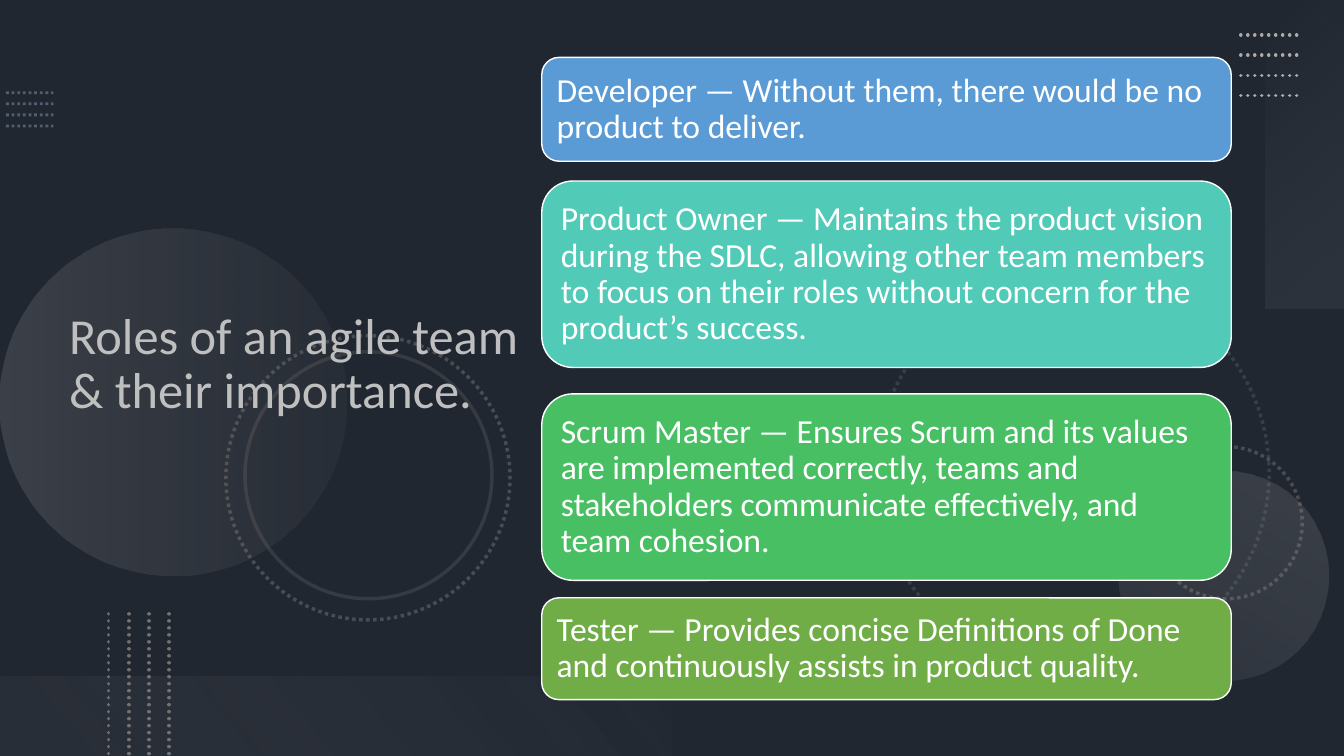
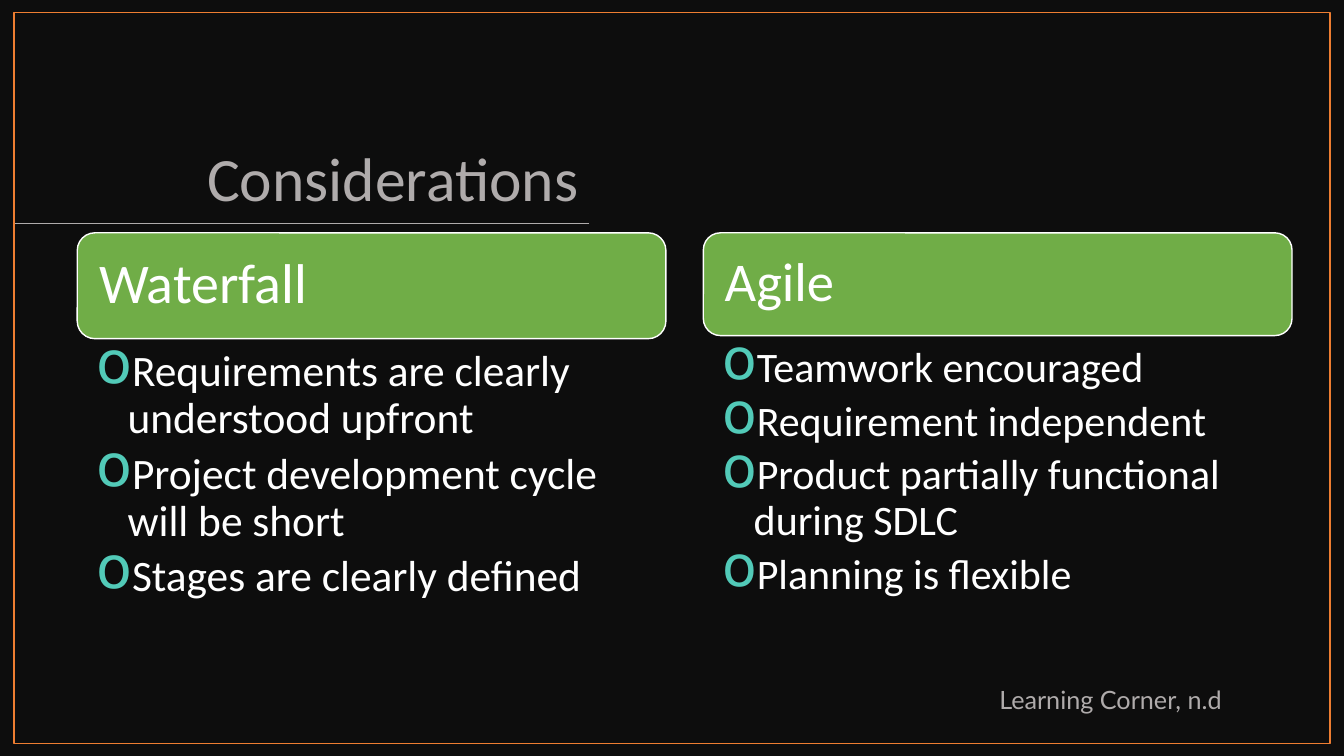
from dataclasses import dataclass
from typing import Optional

from lxml.etree import SubElement
from pptx import Presentation
from pptx.dml.color import RGBColor
from pptx.enum.dml import MSO_LINE
from pptx.enum.shapes import MSO_CONNECTOR, MSO_SHAPE
from pptx.enum.text import MSO_ANCHOR, PP_ALIGN
from pptx.oxml import parse_xml
from pptx.oxml.ns import nsdecls, qn
from pptx.util import Pt

COLORS = {
    "slate": "44546A", "shade": "000000", "black": "0D0D0D",
    "white": "FFFFFF", "title": "BFBFBF", "silver": "AFABAB",
    "gray": "767171", "mist": "F5F5F5", "steel": "8497B0",
    "orange": "ED7D31", "blue": "5B9BD5", "teal": "52CAB8",
    "green": "49BF64", "olive": "70AD47",
}
BODY_FONT = "Calibri"
FOOTER_FONT = "Lato"
LINE_SPACING = 0.9
SLIDE_WIDTH, SLIDE_HEIGHT = 960, 540


@dataclass(frozen=True)
class Box:
    left: float
    top: float
    width: float
    height: float

    def lengths(self):
        return Pt(self.left), Pt(self.top), Pt(self.width), Pt(self.height)


@dataclass(frozen=True)
class Stop:
    position: int
    color: str
    opacity: int


@dataclass(frozen=True)
class Glow:
    shape: MSO_SHAPE
    box: Box
    rotation: int
    angle: int
    stops: tuple[Stop, Stop]


@dataclass(frozen=True)
class Ring:
    box: Box
    opacity: int
    dotted: bool = True


@dataclass(frozen=True)
class DotLines:
    """Four parallel dotted lines, each moved on by the same step."""
    start: tuple[float, float]
    end: tuple[float, float]
    step: tuple[float, float]
    color: str
    width: float = 2.5
    opacity: int = 100
    round_dots: bool = True


@dataclass(frozen=True)
class Role:
    text: str
    top: float
    height: float
    color: str


@dataclass(frozen=True)
class Method:
    name: str
    left: float
    header_height: float
    name_size: int
    point_size: int
    inset: float
    points: tuple[str, ...]


FULL_SLIDE = Box(0, 0, SLIDE_WIDTH, SLIDE_HEIGHT)
GLOWS = (
    Glow(MSO_SHAPE.OVAL, Box(0, 163.4, 247.7, 247.7), 270, 90,
         (Stop(0, "silver", 20), Stop(100, "gray", 10))),
    Glow(MSO_SHAPE.OVAL, Box(799.2, 336.2, 149.8, 149.8), 210, 90,
         (Stop(0, "silver", 10), Stop(100, "silver", 20))),
    Glow(MSO_SHAPE.RECTANGLE, Box(822.2, 82.1, 220.3, 56.2), 270, 140,
         (Stop(0, "mist", 0), Stop(100, "silver", 10))),
    Glow(MSO_SHAPE.RECTANGLE, Box(0, 483.3, 480, 56.2), 180, 140,
         (Stop(10, "gray", 10), Stop(100, "mist", 0))),
)
RINGS = (
    Ring(Box(625.7, 197.3, 280.8, 280.8), 30),
    Ring(Box(821.5, 319, 108.7, 108.7), 50),
    Ring(Box(161.3, 239.8, 203, 203), 50),
    Ring(Box(175, 251.3, 176.4, 176.4), 25, dotted=False),
)
DOT_LINES = (
    DotLines((4.3, 66.2), (38.2, 66.2), (0, 7.92), "steel", 2, 50, False),
    DotLines((886.3, 25), (929.5, 25), (0, 14.4), "silver"),
    DotLines((77.6, 438.5), (77.6, 540), (14.4, 0), "gray"),
)
ROLES = (
    Role("Developer — Without them, there would be no product to deliver.",
         41, 74.2, "blue"),
    Role("Product Owner — Maintains the product vision during the SDLC, "
         "allowing other team members to focus on their roles without concern "
         "for the product’s success.", 129.3, 133.2, "teal"),
    Role("Scrum Master — Ensures Scrum and its values are implemented "
         "correctly, teams and stakeholders communicate effectively, and team "
         "cohesion.", 281.3, 133.2, "green"),
    Role("Tester — Provides concise Definitions of Done and continuously "
         "assists in product quality.", 427, 72.7, "olive"),
)
METHODS = (
    Method("Waterfall", 55.2, 75.6, 40, 31, 12,
           ("Requirements are clearly understood upfront",
            "Project development cycle will be short",
            "Stages are clearly defined")),
    Method("Agile", 502.4, 73.4, 39, 30, 11.7,
           ("Teamwork encouraged", "Requirement independent",
            "Product partially functional during SDLC",
            "Planning is flexible")),
)


def rgb(color: str) -> RGBColor:
    return RGBColor.from_string(COLORS[color])


def set_opacity(fill_properties, opacity: int) -> None:
    tint = fill_properties.find(qn("a:solidFill")).find(qn("a:srgbClr"))
    SubElement(tint, qn("a:alpha"), val=str(opacity * 1000))


def style_line(line, color: str, width: float, opacity: int = 100,
               dotted: bool = False) -> None:
    line.color.rgb = rgb(color)
    line.width = Pt(width)
    if dotted:
        line.dash_style = MSO_LINE.ROUND_DOT
    if opacity < 100:
        set_opacity(line.fill._xPr, opacity)


def add_plain_shape(slide, kind: MSO_SHAPE, box: Box,
                    fill: Optional[str] = None):
    """Add a shape without shadow or outline, filled only on request."""
    shape = slide.shapes.add_shape(kind, *box.lengths())
    shape.shadow.inherit = False
    shape.line.fill.background()
    if fill:
        shape.fill.solid()
        shape.fill.fore_color.rgb = rgb(fill)
    else:
        shape.fill.background()
    return shape


def add_glow(slide, glow: Glow) -> None:
    shape = add_plain_shape(slide, glow.shape, glow.box)
    shape.rotation = glow.rotation
    stops = "".join(
        f'<a:gs pos="{stop.position * 1000}">'
        f'<a:srgbClr val="{COLORS[stop.color]}">'
        f'<a:alpha val="{stop.opacity * 1000}"/></a:srgbClr></a:gs>'
        for stop in glow.stops)
    gradient = parse_xml(
        f'<a:gradFill {nsdecls("a")} rotWithShape="1"><a:gsLst>{stops}</a:gsLst>'
        f'<a:lin ang="{glow.angle * 60000}" scaled="0"/></a:gradFill>')
    properties = shape._element.spPr
    properties.replace(properties.find(qn("a:noFill")), gradient)


def add_ring(slide, ring: Ring) -> None:
    shape = add_plain_shape(slide, MSO_SHAPE.OVAL, ring.box)
    shape.rotation = 75
    style_line(shape.line, "gray", 2.5, ring.opacity, ring.dotted)


def add_line(slide, start: tuple[float, float], end: tuple[float, float],
             color: str, width: float):
    line = slide.shapes.add_connector(
        MSO_CONNECTOR.STRAIGHT, *(Pt(value) for value in start + end))
    style_line(line.line, color, width)
    SubElement(line._element.spPr, qn("a:effectLst"))
    return line.line


def add_dot_lines(slide, group: DotLines) -> None:
    step_x, step_y = group.step
    for index in range(4):
        start, end = ((x + index * step_x, y + index * step_y)
                      for x, y in (group.start, group.end))
        line = add_line(slide, start, end, group.color, group.width)
        style_line(line, group.color, group.width, group.opacity, dotted=True)
        if group.round_dots:
            line.fill._xPr.set("cap", "rnd")


def set_insets(frame, horizontal: float, vertical: float) -> None:
    frame.margin_left = frame.margin_right = Pt(horizontal)
    frame.margin_top = frame.margin_bottom = Pt(vertical)


def write(paragraph, text: str, size: float, color: str,
          font: str = BODY_FONT, align: PP_ALIGN = PP_ALIGN.LEFT,
          spacing: float = LINE_SPACING) -> None:
    paragraph.text = text
    paragraph.alignment = align
    paragraph.line_spacing = spacing
    for run in paragraph.runs:
        run.font.size = Pt(size)
        run.font.name = font
        run.font.color.rgb = rgb(color)


def add_text_frame(slide, box: Box, anchor: MSO_ANCHOR = MSO_ANCHOR.TOP):
    frame = slide.shapes.add_textbox(*box.lengths()).text_frame
    frame.word_wrap = True
    frame.vertical_anchor = anchor
    return frame


def add_title(slide, text: str, box: Box, size: int, color: str,
              anchor: MSO_ANCHOR, align: PP_ALIGN) -> None:
    frame = add_text_frame(slide, box, anchor)
    write(frame.paragraphs[0], text, size, color, align=align)


def add_card(slide, text: str, box: Box, fill: str, size: int,
             inset: float) -> None:
    card = add_plain_shape(slide, MSO_SHAPE.ROUNDED_RECTANGLE, box, fill)
    style_line(card.line, "white", 1)
    frame = card.text_frame
    frame.word_wrap = True
    frame.vertical_anchor = MSO_ANCHOR.MIDDLE
    set_insets(frame, inset, inset)
    write(frame.paragraphs[0], text, size, "white")


def add_bullet(paragraph) -> None:
    properties = paragraph._p.get_or_add_pPr()
    properties.set("marL", str(Pt(22.5)))
    properties.set("indent", str(-Pt(22.5)))
    bullet_color = SubElement(properties, qn("a:buClr"))
    SubElement(bullet_color, qn("a:srgbClr"), val=COLORS["teal"])
    SubElement(properties, qn("a:buSzPct"), val="135000")
    SubElement(properties, qn("a:buChar"), char="o")


def add_method(slide, method: Method) -> None:
    top, width, gap = 166.3, 420.5, 3.5
    add_card(slide, method.name,
             Box(method.left, top, width, method.header_height),
             "olive", method.name_size, method.inset)
    points_top = top + method.header_height + gap
    frame = add_text_frame(
        slide, Box(method.left, points_top, width, 440.6 - points_top))
    set_insets(frame, 13.5, 4)
    frame.margin_right = Pt(22)
    for index, point in enumerate(method.points):
        paragraph = frame.add_paragraph() if index else frame.paragraphs[0]
        write(paragraph, point, method.point_size, "white")
        paragraph.space_after = Pt(round(method.point_size * 0.2, 1))
        add_bullet(paragraph)


def add_blank_slide(deck, background: str):
    slide = deck.slides.add_slide(deck.slide_layouts[6])
    slide.background.fill.solid()
    slide.background.fill.fore_color.rgb = rgb(background)
    return slide


def build_roles(deck) -> None:
    slide = add_blank_slide(deck, "slate")
    shade = add_plain_shape(slide, MSO_SHAPE.RECTANGLE, FULL_SLIDE, "shade")
    set_opacity(shape_properties := shade._element.spPr, 53)
    for ring in RINGS:
        add_ring(slide, ring)
    for glow in GLOWS:
        add_glow(slide, glow)
    for group in DOT_LINES:
        add_dot_lines(slide, group)
    add_title(slide, "Roles of an agile team & their importance.",
              Box(42.3, 39, 338, 444), 36, "title",
              MSO_ANCHOR.MIDDLE, PP_ALIGN.LEFT)
    for role in ROLES:
        add_card(slide, role.text, Box(387, role.top, 492.5, role.height),
                 role.color, 24, 7.2)


def build_considerations(deck) -> None:
    slide = add_blank_slide(deck, "white")
    add_plain_shape(slide, MSO_SHAPE.RECTANGLE, FULL_SLIDE, "black")
    add_title(slide, "Considerations", Box(65.5, 52.6, 355, 104.4), 44,
              "silver", MSO_ANCHOR.BOTTOM, PP_ALIGN.RIGHT)
    add_line(slide, (421, 159.5), (10, 159.5), "silver", 0.75)
    border = add_plain_shape(slide, MSO_SHAPE.RECTANGLE,
                             Box(10, 9, 940, 522))
    style_line(border.line, "orange", 1)
    for method in METHODS:
        add_method(slide, method)
    credit = add_text_frame(slide, Box(706.7, 485.3, 180, 29))
    write(credit.paragraphs[0], "Learning Corner, n.d", 18, "silver",
          FOOTER_FONT, spacing=1.0)


def main() -> None:
    deck = Presentation()
    deck.slide_width, deck.slide_height = Pt(SLIDE_WIDTH), Pt(SLIDE_HEIGHT)
    build_roles(deck)
    build_considerations(deck)
    deck.save("out.pptx")


if __name__ == "__main__":
    main()
